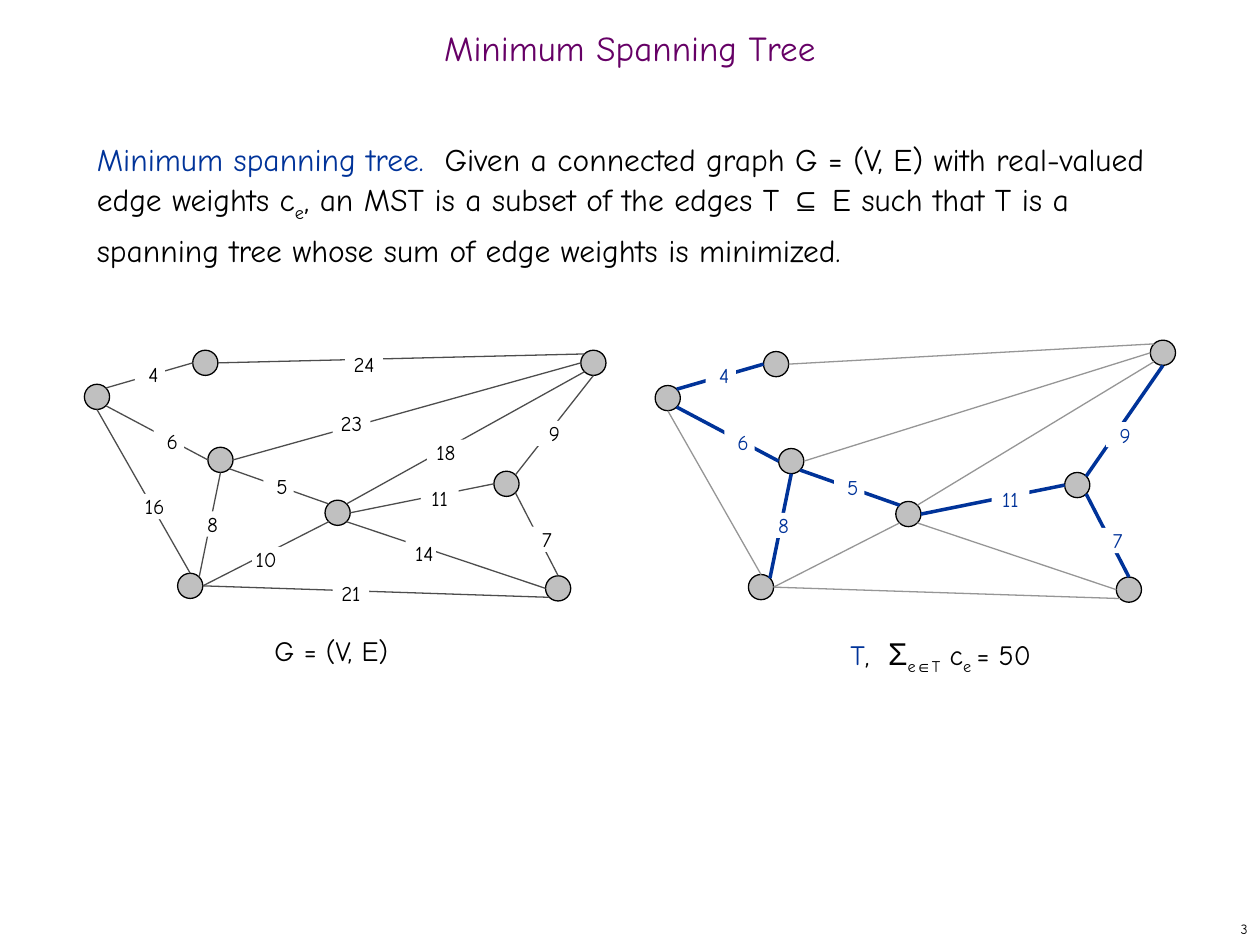
from math import cos, radians, sin

from lxml.etree import SubElement
from pptx import Presentation
from pptx.dml.color import RGBColor
from pptx.enum.shapes import MSO_CONNECTOR, MSO_SHAPE
from pptx.enum.text import MSO_ANCHOR, PP_ALIGN
from pptx.oxml.ns import qn
from pptx.util import Inches, Pt

COLORS = {
    "title": "660066", "accent": "003399", "ink": "000000", "paper": "FFFFFF",
    "node": "C0C0C0", "edge": "4D4D4D", "unused": "969696",
}
FONT = "Comic Neue"
SYMBOL_FONT = "Arial"


def color(name):
    return RGBColor.from_string(COLORS[name])


def write(box, runs, size, align=PP_ALIGN.LEFT, anchor=MSO_ANCHOR.TOP, fill="ink"):
    frame = box.text_frame
    frame.word_wrap = True
    frame.vertical_anchor = anchor
    paragraph = frame.paragraphs[0]
    paragraph.alignment = align
    paragraph.font.size = Pt(size)
    paragraph.font.name = FONT
    paragraph.font.color.rgb = color(fill)
    for words, style in runs:
        run = paragraph.add_run()
        run.text = words
        if "color" in style:
            run.font.color.rgb = color(style["color"])
        if "font" in style:
            run.font.name = style["font"]
        if "size" in style:
            run.font.size = Pt(style["size"])
        if "baseline" in style:
            run.font._element.set("baseline", style["baseline"])
    return paragraph


prs = Presentation()
prs.slide_width, prs.slide_height = Inches(10), Inches(7.5)
slide = prs.slides.add_slide(prs.slide_layouts[6])
shapes = slide.shapes

accent = {"color": "accent"}
sub = {"baseline": "-25000"}
symbol = {"font": SYMBOL_FONT}

page_number = shapes.add_textbox(Inches(7.92), Inches(7.25), Inches(2.08), Inches(0.25))
write(page_number, [("3", {})], 8, PP_ALIGN.RIGHT, MSO_ANCHOR.MIDDLE)

title = shapes.add_textbox(Inches(0), Inches(0.17), Inches(10), Inches(0.5))
heading = write(title, [("Minimum Spanning Tree", {})], 20, PP_ALIGN.CENTER, MSO_ANCHOR.MIDDLE, "title")
heading.line_spacing = 0.7

definition = shapes.add_textbox(Inches(0.67), Inches(1), Inches(8.58), Inches(5.92))
statement = write(definition, [
    ("Minimum spanning tree.  ", accent),
    ("Given a connected graph G = (V, E) with real-valued edge weights c", {}),
    ("e", sub),
    (", an MST is a subset of the edges T ", {}),
    ("⊆", symbol),
    (" E such that T is a spanning tree whose sum of edge weights is minimized.", {}),
], 18)
statement.line_spacing = Pt(26)

DIAMETER = 0.2
NODES = {
    "a": (0.67, 3.05), "b": (1.53, 2.78), "c": (1.65, 3.55), "d": (1.41, 4.55),
    "e": (2.58, 3.97), "f": (3.92, 3.74), "g": (4.61, 2.78), "h": (4.33, 4.57),
}
ANGLES = {"E": 0, "SE": 45, "S": 90, "SW": 135, "W": 180, "NW": 225, "N": 270, "NE": 315}
EDGES = [
    ("a", "NE", "b", "W", " 4", 1.07, 2.87, 0.24),
    ("a", "SE", "c", "W", " 6", 1.22, 3.4, 0.24),
    ("a", "S", "d", "N", " 16", 1.08, 3.92, 0.24),
    ("c", "E", "g", "W", "23", 2.64, 3.26, 0.3),
    ("f", "NE", "g", "S", "9", 4.25, 3.34, 0.3),
    ("c", "SE", "e", "NW", " 5", 2.09, 3.76, 0.24),
    ("e", "SE", "h", "W", " 14", 3.22, 4.29, 0.24),
    ("e", "E", "f", "W", "11", 3.34, 3.85, 0.3),
    ("f", "SE", "h", "N", "7", 4.19, 4.18, 0.3),
    ("g", "SW", "e", "NE", "18", 3.39, 3.49, 0.3),
    ("c", "S", "d", "NE", " 8", 1.54, 4.06, 0.24),
    ("d", "E", "e", "SW", "10 ", 2, 4.34, 0.28),
    ("b", "E", "g", "NW", "24", 2.74, 2.79, 0.3),
    ("d", "E", "h", "SW", "21", 2.64, 4.61, 0.29),
]
TREE_WEIGHTS = {4, 5, 6, 7, 8, 9, 11}

for is_tree, dx, dy in [(False, 0, 0), (True, 4.53, 0.01)]:
    corners = {name: (x + dx, y + dy) for name, (x, y) in NODES.items()}
    if is_tree:
        corners["g"] = (9.13, 2.7)

    for x, y in corners.values():
        node = shapes.add_shape(MSO_SHAPE.OVAL, Inches(x), Inches(y), Inches(DIAMETER), Inches(DIAMETER))
        node.shadow.inherit = False
        node.fill.solid()
        node.fill.fore_color.rgb = color("node")
        node.line.color.rgb = color("ink")
        node.line.width = Pt(0.75)

    for start, start_side, end, end_side, weight, *_ in EDGES:
        ends = []
        for name, side in [(start, start_side), (end, end_side)]:
            angle = radians(ANGLES[side])
            x, y = corners[name]
            ends += [Inches(x + DIAMETER / 2 * (1 + cos(angle))), Inches(y + DIAMETER / 2 * (1 + sin(angle)))]
        chosen = is_tree and int(weight) in TREE_WEIGHTS
        edge = shapes.add_connector(MSO_CONNECTOR.STRAIGHT, *ends)
        edge.line.color.rgb = color("accent" if chosen else "unused" if is_tree else "edge")
        edge.line.width = Pt(2 if chosen else 0.75)
        SubElement(edge._element.spPr, qn("a:effectLst"))

    for *_, weight, x, y, width in EDGES:
        if is_tree and int(weight) not in TREE_WEIGHTS:
            continue
        label = shapes.add_shape(MSO_SHAPE.RECTANGLE, Inches(x + dx), Inches(y + dy), Inches(width), Inches(0.2))
        label.shadow.inherit = False
        label.fill.solid()
        label.fill.fore_color.rgb = color("paper")
        label.line.fill.background()
        frame = label.text_frame
        frame.margin_left = frame.margin_right = frame.margin_top = frame.margin_bottom = 0
        write(label, [(weight, {})], 12, PP_ALIGN.CENTER, fill="accent" if is_tree else "ink")

graph_caption = shapes.add_textbox(Inches(2.08), Inches(4.98), Inches(1.42), Inches(0.37))
write(graph_caption, [("G = (V, E)", {})], 16)

tree_caption = shapes.add_textbox(Inches(6.65), Inches(4.98), Inches(1.83), Inches(0.43))
write(tree_caption, [
    ("T", accent),
    (",  ", {}),
    ("Σ", {"font": SYMBOL_FONT, "size": 18}),
    ("e", sub),
    ("∈", {**sub, **symbol}),
    ("T", sub),
    (" c", {}),
    ("e ", sub),
    ("= 50", {}),
], 16)

prs.save("out.pptx")
